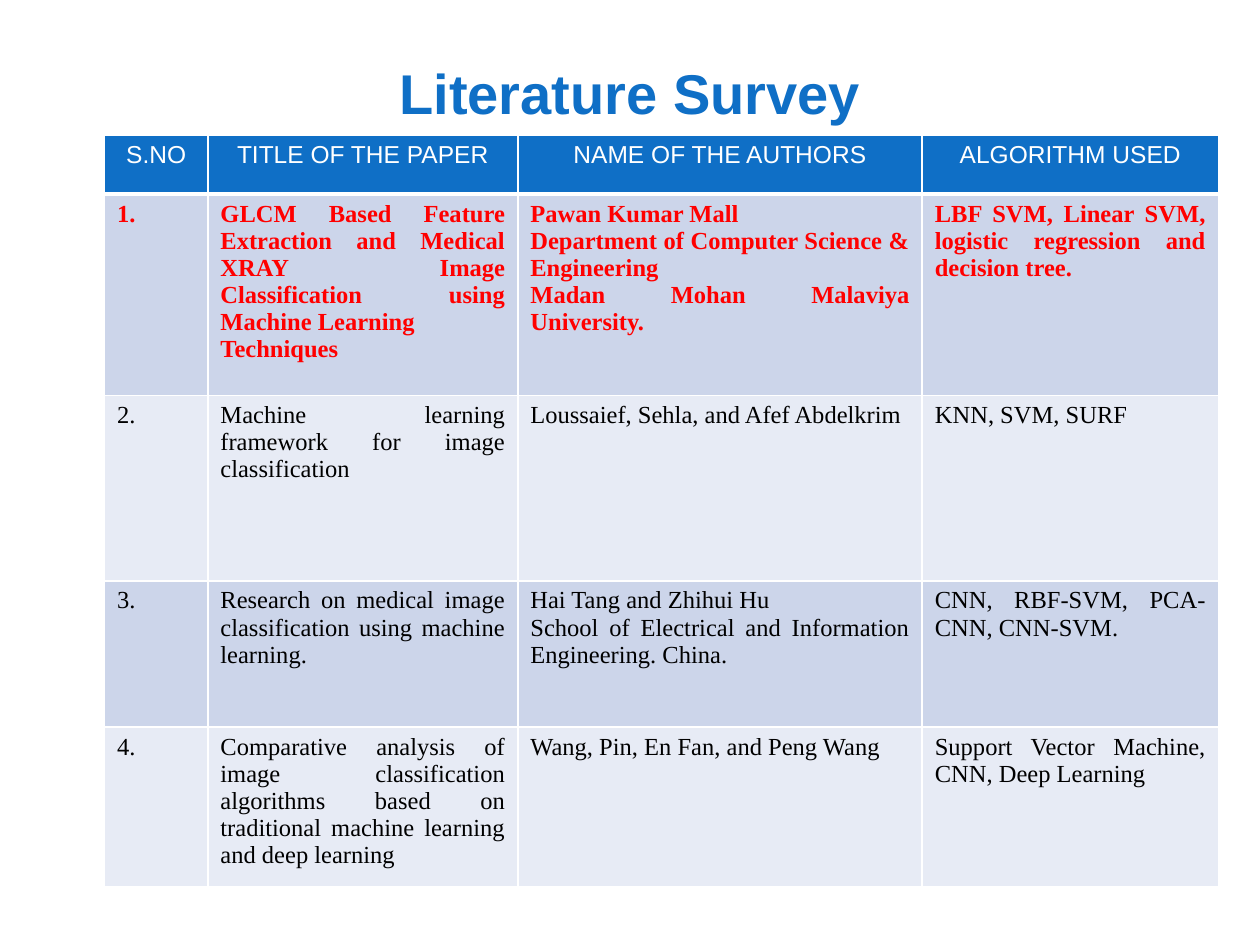
from lxml import etree
from pptx import Presentation
from pptx import util as u
from pptx.dml.color import RGBColor
from pptx.enum import text
from pptx.oxml.ns import qn

# Content: one list of paragraphs per cell
TITLE = "Literature Survey"
HEADS = ["S.NO", "TITLE OF THE PAPER", "NAME OF THE AUTHORS", "ALGORITHM USED"]
PAPERS = [
    (["GLCM Based Feature Extraction and Medical XRAY Image Classification "
      "using Machine Learning ", "Techniques"],
     ["Pawan Kumar Mall ", "Department of Computer Science & ",
      "Engineering ", "Madan Mohan Malaviya University. "],
     ["LBF SVM, Linear SVM, logistic regression and decision tree. "]),
    (["Machine learning framework for image classification"],
     ["Loussaief, Sehla, and Afef Abdelkrim"],
     ["KNN, SVM, SURF"]),
    (["Research on medical image classification using machine learning. "],
     ["Hai Tang and Zhihui Hu",
      "School of Electrical and Information Engineering. China. "],
     ["CNN, RBF-SVM, PCA-CNN, CNN-SVM. "]),
    (["Comparative analysis of image classification algorithms based on "
      "traditional machine learning and deep learning"],
     ["Wang, Pin, En Fan, and Peng Wang"],
     ["Support Vector Machine, CNN, Deep Learning "]),
]

# Look
HUES = {"blue": "0F6FC6", "odd": "CCD5EA", "even": "E7EBF5",
        "red": "FF0000", "black": "000000", "white": "FFFFFF"}
MID, FULL = text.PP_ALIGN.CENTER, text.PP_ALIGN.JUSTIFY
SANS, SERIF = "Arial", "Times New Roman"
STYLES = {
    "title": ("blue", MID, dict(name=SANS, size=u.Pt(32), bold=True)),
    "head": ("white", MID, dict(name=SANS, size=u.Pt(14), bold=False)),
    "first": ("red", FULL, dict(name=SERIF, size=u.Pt(14), bold=True)),
    "body": ("black", FULL, dict(name=SERIF, size=u.Pt(14), bold=False)),
}
COLS = [0.82, 2.46, 3.21, 2.35]
ROWS = [0.47, 1.6, 1.47, 1.16, 1.27]
LEFT, TOP = 0.83, 1.07


def write(frame, lines, style):
    hue, align, font = STYLES[style]
    for i, line in enumerate(lines):
        para = frame.add_paragraph() if i else frame.paragraphs[0]
        para.alignment = align
        run = para.add_run()
        run.text = line
        for key, val in font.items():
            setattr(run.font, key, val)
        run.font.color.rgb = RGBColor.from_string(HUES[hue])


def edge(cell, base):
    """Draw white borders; base is the width of the lower one in points."""
    props = cell._tc.get_or_add_tcPr()
    for i, (side, wide) in enumerate(zip("LRTB", (1, 1, 1, base))):
        line = etree.Element(qn("a:ln" + side), w=str(u.Pt(wide)))
        fill = etree.SubElement(line, qn("a:solidFill"))
        etree.SubElement(fill, qn("a:srgbClr"), val=HUES["white"])
        props.insert(i, line)


deck = Presentation()
deck.slide_width, deck.slide_height = u.Inches(10), u.Inches(7.5)
slide = deck.slides.add_slide(deck.slide_layouts[5])

# Title
title = slide.shapes.title
for key, val in dict(left=0.5, top=0.21, width=9, height=0.79).items():
    setattr(title, key, u.Inches(val))
frame = title.text_frame
for key, val in dict(margin_left=0, margin_right=0, margin_top=u.Inches(0.05),
                     margin_bottom=0, word_wrap=True,
                     vertical_anchor=text.MSO_ANCHOR.BOTTOM).items():
    setattr(frame, key, val)
write(frame, [TITLE], "title")

# Table
grid = [[[head] for head in HEADS]]
grid += [[[f"{n}."], *paper] for n, paper in enumerate(PAPERS, 1)]
table = slide.shapes.add_table(
    len(ROWS), len(COLS), u.Inches(LEFT), u.Inches(TOP),
    u.Inches(sum(COLS)), u.Inches(sum(ROWS))).table
for col, wide in zip(table.columns, COLS):
    col.width = u.Inches(wide)
for row, tall in zip(table.rows, ROWS):
    row.height = u.Inches(tall)

for r, cells in enumerate(grid):
    style = {0: "head", 1: "first"}.get(r, "body")
    hue = "blue" if r == 0 else "odd" if r % 2 else "even"
    for c, lines in enumerate(cells):
        cell = table.cell(r, c)
        cell.fill.solid()
        cell.fill.fore_color.rgb = RGBColor.from_string(HUES[hue])
        edge(cell, 1 if r else 3)
        write(cell.text_frame, lines, style)

deck.save("out.pptx")
